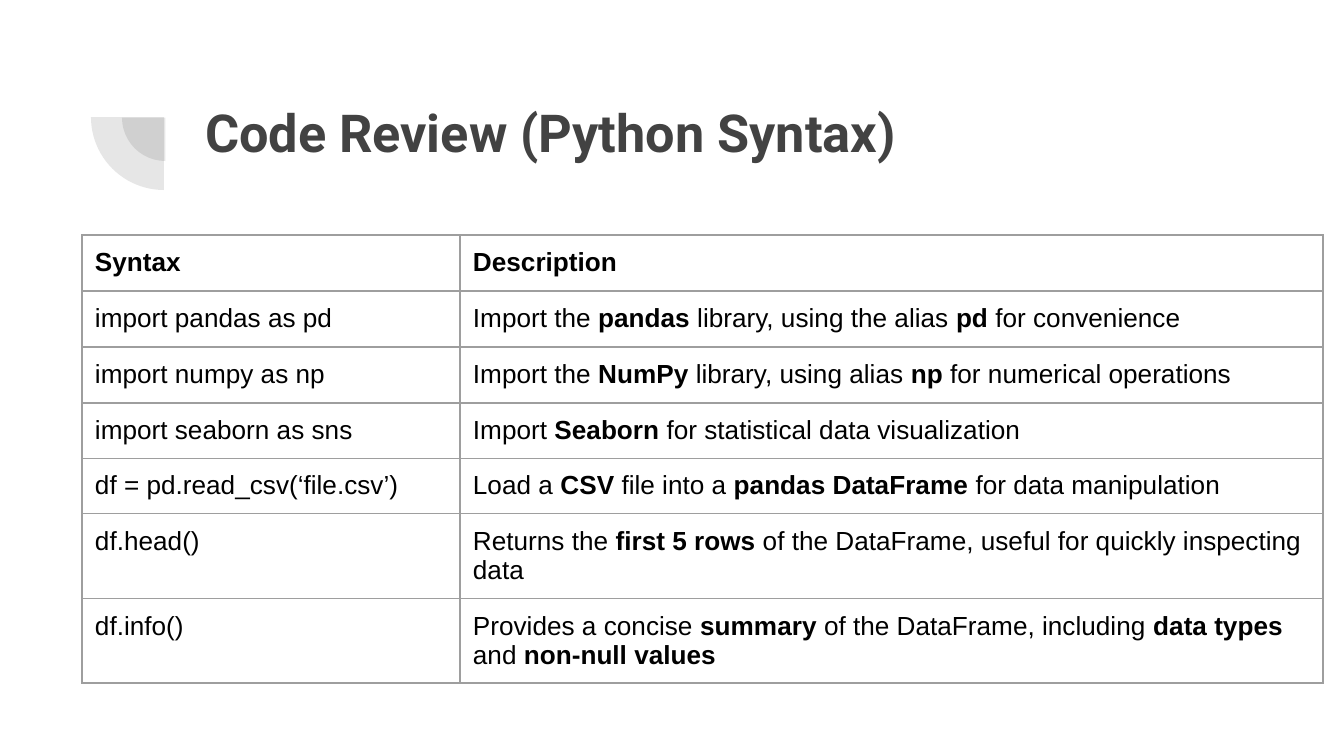
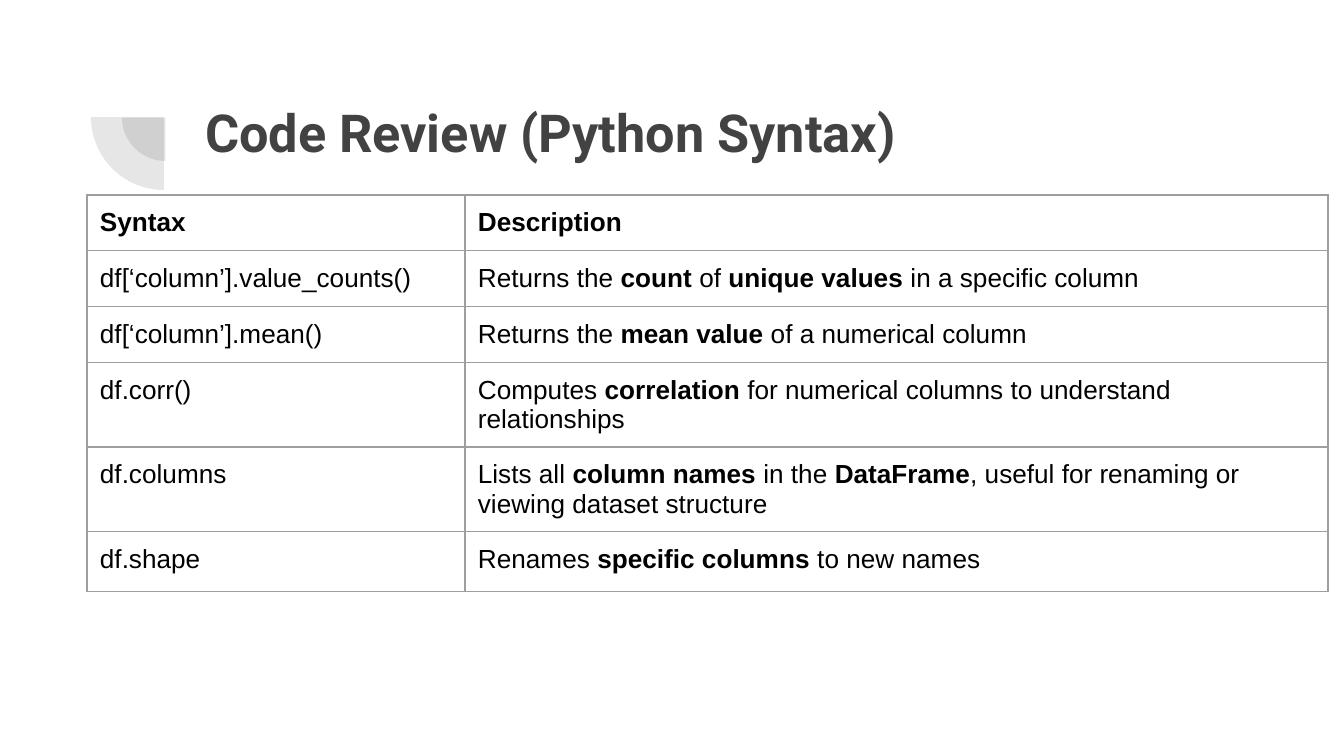
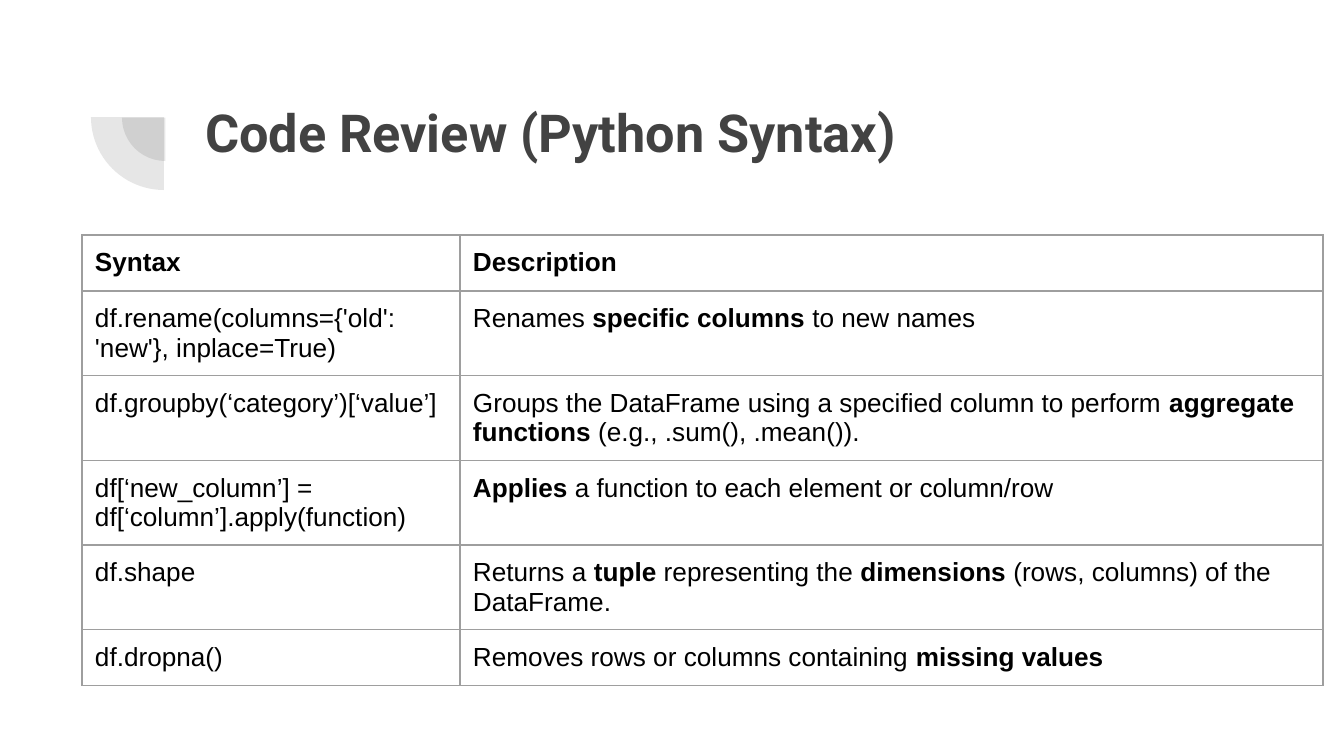
from lxml import etree
from pptx import Presentation
from pptx.dml.color import RGBColor
from pptx.enum.shapes import MSO_SHAPE
from pptx.enum.text import MSO_ANCHOR, MSO_AUTO_SIZE, PP_ALIGN
from pptx.oxml.ns import qn
from pptx.util import Emu, Pt

PIE = MSO_SHAPE.PIE
TOP = MSO_ANCHOR.TOP
LEFT = PP_ALIGN.LEFT
NO_AUTOFIT = MSO_AUTO_SIZE.NONE

EMU_PER_PX = 914400 / 134.4
SLIDE_WIDTH, SLIDE_HEIGHT = 1344, 756
INSET = 13

CHARCOAL = RGBColor(0x42, 0x42, 0x42)
BLACK = RGBColor(0x00, 0x00, 0x00)
BORDER_GRAY = RGBColor(0x9E, 0x9E, 0x9E)

TITLE = "Code Review (Python Syntax)"
TITLE_FONT = {"name": "Roboto", "size": Pt(28), "bold": True}
TABLE_FONT = {"name": "Arial", "size": Pt(14)}
TITLE_BOX = (192, 87, 1034, 146)
COLUMN_WIDTHS = (378, 863)
HEADER = ("**Syntax**", "**Description**")
QUARTER_CIRCLES = ((122, 74, 87), (91, 44, 146))
QUARTER_ALPHA = 13

TABLES = [
    {
        "position": (82, 235),
        "row_heights": (56, 56, 56, 47, 47, 47, 47),
        "rows": [
            ("import pandas as pd",
             "Import the **pandas **library, using the alias **pd **for convenience"),
            ("import numpy as np",
             "Import the **NumPy **library, using alias **np **for numerical operations"),
            ("import seaborn as sns",
             "Import **Seaborn **for statistical data visualization"),
            ("df = pd.read_csv(‘file.csv’)",
             "Load a **CSV **file into a **pandas DataFrame **for data manipulation"),
            ("df.head()",
             "Returns the **first 5 rows** of the DataFrame, useful for quickly inspecting data"),
            ("df.info()",
             "Provides a concise **summary **of the DataFrame, including "
             "**data types **and **non-null values**"),
        ],
    },
    {
        "position": (87, 195),
        "row_heights": (38, 56, 56, 47, 47, 60),
        "rows": [
            ("df[‘column’].value_counts()",
             "Returns the **count **of **unique values **in a specific column"),
            ("df[‘column’].mean()",
             "Returns the **mean value **of a numerical column"),
            ("df.corr()",
             "Computes **correlation **for numerical columns to understand relationships"),
            ("df.columns",
             "Lists all **column names **in the **DataFrame**, useful for renaming "
             "or viewing dataset structure"),
            ("df.shape", "Renames **specific columns** to new names"),
        ],
    },
    {
        "position": (82, 235),
        "row_heights": (56, 56, 56, 47, 47, 47),
        "rows": [
            ("df.rename(columns={'old': 'new'}, inplace=True)",
             "Renames **specific columns** to new names"),
            ("df.groupby(‘category’)[‘value’]",
             "Groups the DataFrame using a specified column to perform "
             "**aggregate functions **(e.g., .sum(), .mean())."),
            ("df[‘new_column’] = df[‘column’].apply(function)",
             "**Applies **a function to each element or column/row"),
            ("df.shape",
             "Returns a **tuple **representing the **dimensions **(rows, columns) "
             "of the DataFrame."),
            ("df.dropna()",
             "Removes rows or columns containing **missing values**"),
        ],
    },
]


def px(length):
    return Emu(round(length * EMU_PER_PX))


def set_attributes(target, values):
    for name, value in values.items():
        setattr(target, name, value)


def set_margins(target):
    sides = ("margin_left", "margin_right", "margin_top", "margin_bottom")
    set_attributes(target, dict.fromkeys(sides, px(INSET)))


def add_quarter_circle(slide, left, top, size):
    shape = slide.shapes.add_shape(PIE, px(left), px(top), px(size), px(size))
    shape.rotation = 270
    shape.adjustments[0] = 108
    shape.adjustments[1] = 162
    shape.shadow.inherit = False
    shape.line.fill.background()
    shape.fill.solid()
    shape.fill.fore_color.rgb = CHARCOAL
    color = shape.element.spPr.find(qn("a:solidFill")).find(qn("a:srgbClr"))
    etree.SubElement(color, qn("a:alpha"), val=str(QUARTER_ALPHA * 1000))
    return shape


def add_emblem(slide):
    title_element = slide.shapes.title.element
    for left, top, size in QUARTER_CIRCLES:
        shape = add_quarter_circle(slide, left, top, size)
        title_element.addprevious(shape.element)


def fill_title(slide):
    title = slide.shapes.title
    names = ("left", "top", "width", "height")
    set_attributes(title, dict(zip(names, map(px, TITLE_BOX))))
    frame = title.text_frame
    set_attributes(frame, {"word_wrap": True, "auto_size": NO_AUTOFIT,
                           "vertical_anchor": TOP})
    set_margins(frame)
    paragraph = frame.paragraphs[0]
    paragraph.alignment = LEFT
    run = paragraph.add_run()
    run.text = TITLE
    set_attributes(run.font, TITLE_FONT)
    run.font.color.rgb = CHARCOAL


def write_cell(cell, marked_text):
    set_margins(cell)
    cell.vertical_anchor = TOP
    cell.fill.background()
    paragraph = cell.text_frame.paragraphs[0]
    for index, text in enumerate(marked_text.split("**")):
        if text:
            run = paragraph.add_run()
            run.text = text
            set_attributes(run.font, TABLE_FONT)
            run.font.bold = index % 2 == 1
            run.font.color.rgb = BLACK


def add_borders(cell_properties):
    for index, side in enumerate(("lnL", "lnR", "lnT", "lnB")):
        line = etree.Element(qn(f"a:{side}"), w=str(Pt(0.75)))
        fill = etree.SubElement(line, qn("a:solidFill"))
        etree.SubElement(fill, qn("a:srgbClr"), val=str(BORDER_GRAY))
        cell_properties.insert(index, line)


def add_syntax_table(slide, position, row_heights, rows):
    left, top = position
    frame = slide.shapes.add_table(
        len(row_heights), len(COLUMN_WIDTHS), px(left), px(top),
        px(sum(COLUMN_WIDTHS)), px(sum(row_heights)))
    table = frame.table
    set_attributes(table, {"first_row": False, "horz_banding": False})
    for column, width in zip(table.columns, COLUMN_WIDTHS):
        column.width = px(width)
    for row, height, texts in zip(table.rows, row_heights, [HEADER, *rows]):
        row.height = px(height)
        for cell, text in zip(row.cells, texts):
            write_cell(cell, text)
    for cell_properties in frame.element.iter(qn("a:tcPr")):
        add_borders(cell_properties)


def main():
    presentation = Presentation()
    presentation.slide_width = px(SLIDE_WIDTH)
    presentation.slide_height = px(SLIDE_HEIGHT)
    title_only = presentation.slide_layouts[5]
    for content in TABLES:
        slide = presentation.slides.add_slide(title_only)
        add_emblem(slide)
        fill_title(slide)
        add_syntax_table(slide, **content)
    presentation.save("out.pptx")


if __name__ == "__main__":
    main()
